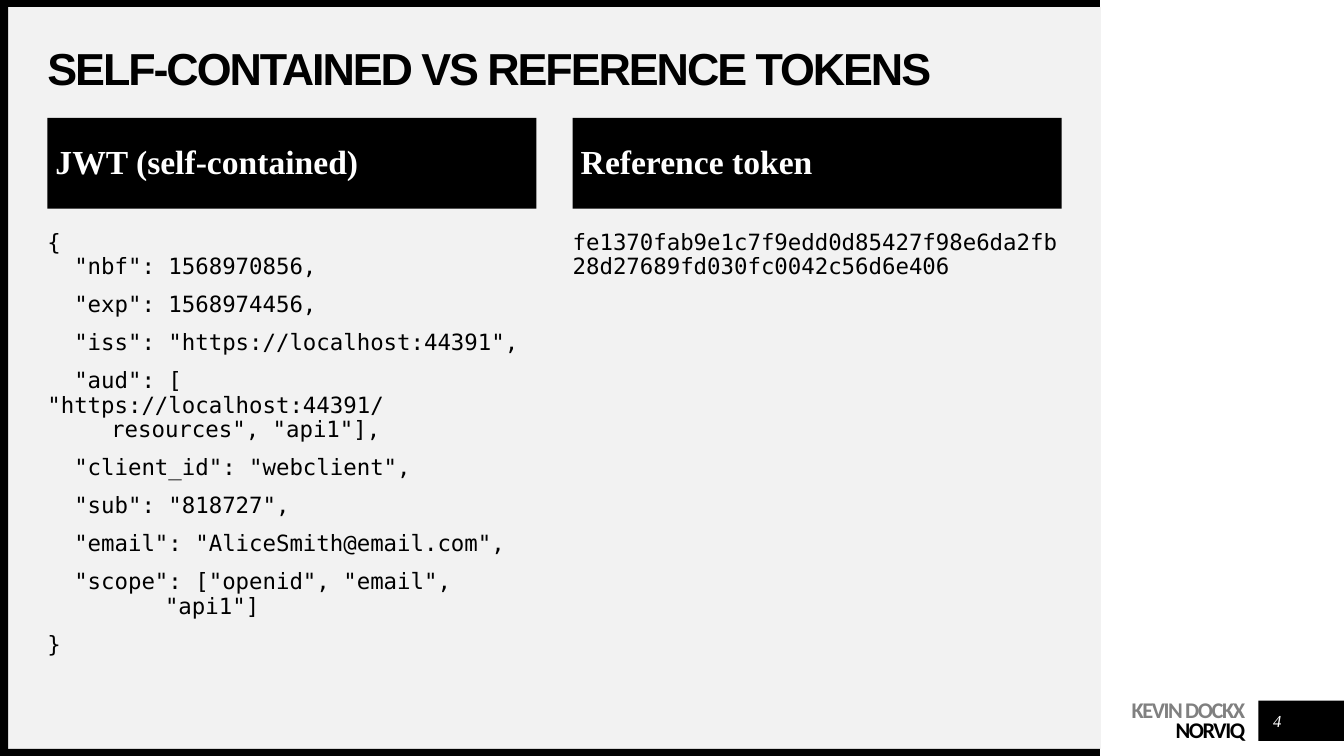
from pptx import Presentation
from pptx.dml.color import RGBColor
from pptx.enum.shapes import MSO_SHAPE as Kind
from pptx.enum.text import MSO_ANCHOR as Anchor, PP_ALIGN as Align
from pptx.util import Inches, Pt

INK = {"black": "000000", "white": "FFFFFF", "panel": "F2F2F2", "gray": "808080"}
WIDE, HIGH = 13.33, 7.5
LEFT, COL, STEP = 0.47, 4.85, 5.21  # margin, column width, column pitch
EDGE = 0.07

CODE = [
    '{ \n  "nbf": 1568970856,',
    '  "exp": 1568974456,',
    '  "iss": "https://localhost:44391",',
    '  "aud": [  \t"https://localhost:44391/\n  \t resources", "api1"],',
    '  "client_id": "webclient",',
    '  "sub": "818727",',
    '  "email": "AliceSmith@email.com",',
    '  "scope": ["openid", "email",  \n\t     "api1"]',
    "}",
]
TOKEN = ["fe1370fab9e1c7f9edd0d85427f98e6da2fb28d27689fd030fc0042c56d6e406"]
COLS = [("JWT (self-contained)", CODE), ("Reference token", TOKEN)]

deck = Presentation()
deck.slide_width, deck.slide_height = Inches(WIDE), Inches(HIGH)
slide = deck.slides.add_slide(deck.slide_layouts[5])
shapes = slide.shapes


def block(x, y, w, h, fill):
    box = shapes.add_shape(Kind.RECTANGLE, *map(Inches, (x, y, w, h)))
    box.shadow.inherit = False
    box.fill.solid()
    box.fill.fore_color.rgb = RGBColor.from_string(INK[fill])
    box.line.fill.background()
    return box


def write(box, lines, face, size, tint, anchor=Anchor.TOP, align=Align.LEFT,
          bold=False, space=0.9):
    frame = box.text_frame
    frame.word_wrap = True
    frame.vertical_anchor = anchor
    frame.margin_left = frame.margin_right = 0
    frame.margin_top = frame.margin_bottom = 0
    for i, line in enumerate(lines):
        para = frame.add_paragraph() if i else frame.paragraphs[0]
        para.text = line
        para.alignment = align
        para.line_spacing = space
        if i:
            para.space_before = Pt(10)
        font = para.font
        font.name, font.size, font.bold = face, Pt(size), bold
        font.color.rgb = RGBColor.from_string(INK[tint])
    return frame


# Panel and its black frame
block(0.08, EDGE, 10.84, HIGH - 2 * EDGE, "panel")
for y in (0, HIGH - EDGE):
    block(0, y, 10.91, EDGE, "black")
block(0, 0, 0.08, HIGH, "black")

# Title
title = shapes.title
title.left, title.top = Inches(LEFT), Inches(0.47)
title.width, title.height = Inches(STEP + COL), Inches(0.47)
frame = write(title, ["SELF-CONTAINED VS REFERENCE TOKENS"], "Arial", 32, "black",
              Anchor.MIDDLE, bold=True)
frame.paragraphs[0].runs[0]._r.get_or_add_rPr().set("spc", "-150")
shapes._spTree.append(title._element)  # bring in front of the panel

# Columns: heading bar and code
for i, (head, lines) in enumerate(COLS):
    x = LEFT + i * STEP
    bar = block(x, 1.17, COL, 0.9, "black")
    frame = write(bar, [head], "Times New Roman", 24, "white", Anchor.MIDDLE, bold=True)
    frame.margin_left = Inches(0.08)
    body = shapes.add_textbox(*map(Inches, (x, 2.29, COL, 4.48)))
    write(body, lines, "DejaVu Sans Mono", 16, "black")

# Footer: author and page number
sign = shapes.add_textbox(*map(Inches, (10.53, 6.94, 1.82, 0.44)))
frame = write(sign, ["KEVIN DOCKX"], "Calibri", 16, "gray", align=Align.RIGHT,
              bold=True, space=Pt(14))
frame.margin_top = Inches(0.04)
para = frame.paragraphs[0]
para.add_line_break()
firm = para.add_run()
firm.text = "NORVIQ"
firm.font.color.rgb = RGBColor.from_string(INK["black"])
for run in para.runs:
    run._r.get_or_add_rPr().set("spc", "-100")

block(12.48, 6.95, WIDE - 12.48, 0.4, "black")
page = shapes.add_textbox(*map(Inches, (12.52, 7, 0.3, 0.3)))
frame = write(page, ["4"], "Times New Roman", 12, "white", Anchor.MIDDLE,
              Align.CENTER, space=1.0)
frame.paragraphs[0].font.italic = True

deck.save("out.pptx")
